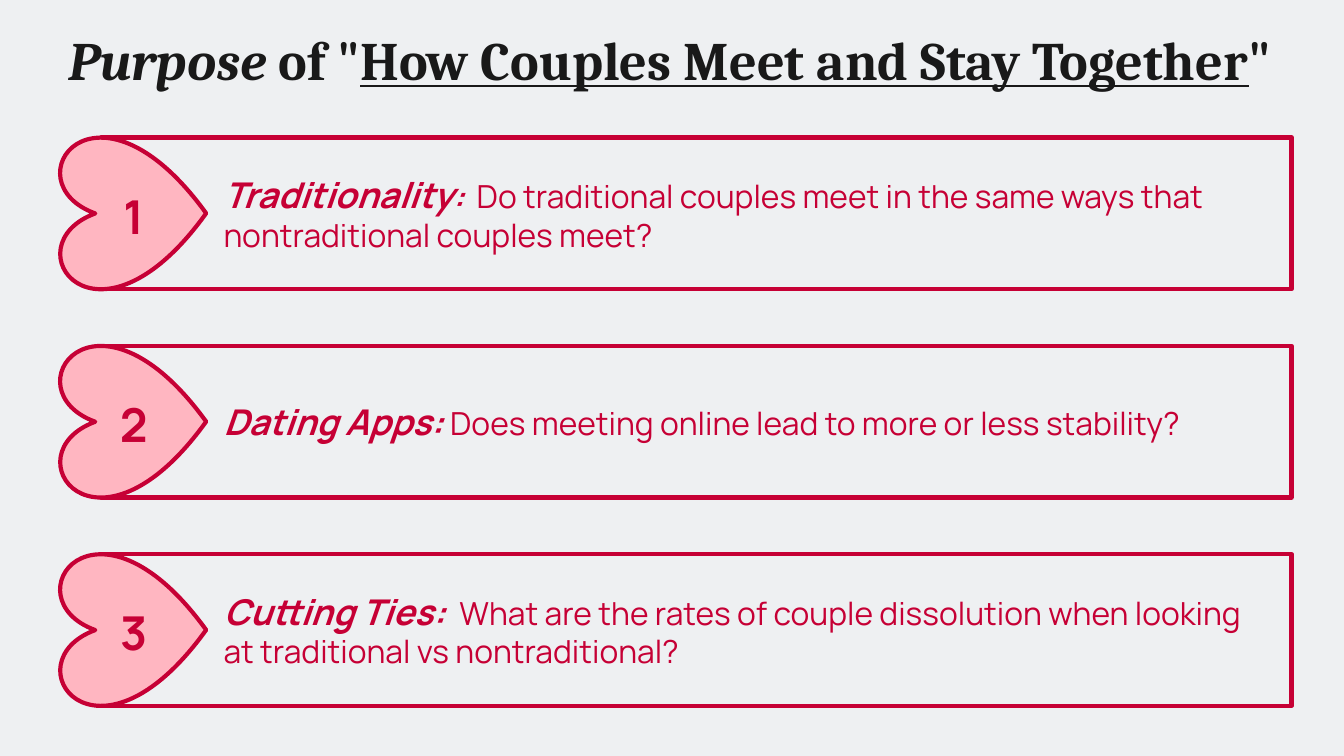
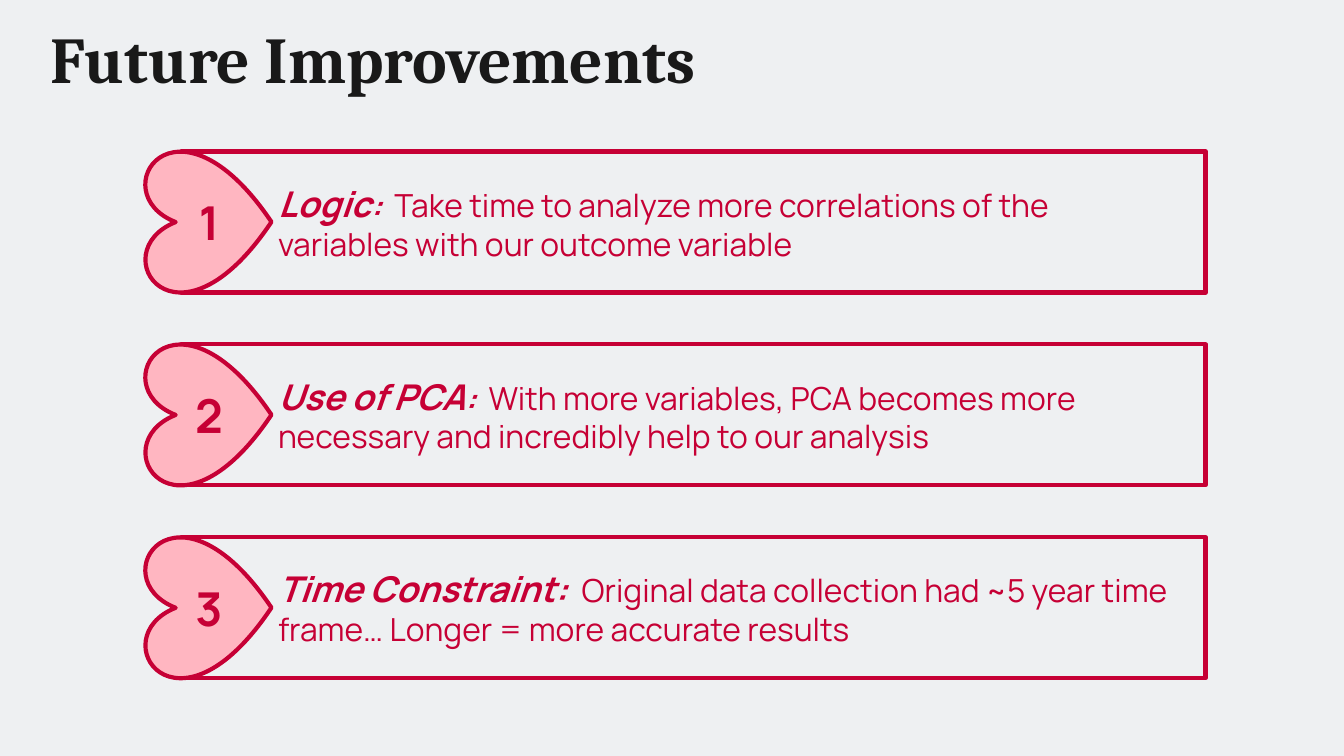
from dataclasses import dataclass
from typing import NamedTuple

from pptx import Presentation
from pptx.dml.color import RGBColor
from pptx.enum.shapes import MSO_SHAPE
from pptx.enum.text import MSO_ANCHOR, PP_ALIGN
from pptx.util import Emu, Inches, Pt

# Widescreen slide on a grid of square cells, 100 columns across
SLIDE_WIDTH = Inches(10)
SLIDE_HEIGHT = Emu(SLIDE_WIDTH * 9 // 16)
COLUMNS = 100
CELL = SLIDE_WIDTH / COLUMNS

# Shared look
PAPER, INK, CRIMSON, PINK = "EEF0F2", "191919", "C60035", "FFB6C1"
TITLE_FONT, BODY_FONT = "Cambria", "Manrope"
LABEL_SIZE, BODY_SIZE, NUMBER_SIZE = 19, 17, 25
OUTLINE = 2.25


class Area(NamedTuple):
    left: float
    top: float
    width: float
    height: float


class Span(NamedTuple):
    text: str
    size: float
    bold: bool = False
    italic: bool = False
    underline: bool = False


Lines = list[list[Span]]


@dataclass
class Layout:
    """Sizes of the first numbered bar, and the pitch to the next."""
    bar: Area
    pitch: float
    heart_left: float
    heart_width: float
    heart_height: float
    number_left: float
    number_width: float
    number_drop: float
    indent: float


@dataclass
class Page:
    title: list[Span]
    title_area: Area
    title_align: PP_ALIGN
    title_anchor: MSO_ANCHOR
    layout: Layout
    points: list[Lines]


def cells(count: float) -> Emu:
    return Emu(round(count * CELL))


def color(value: str) -> RGBColor:
    return RGBColor.from_string(value)


def label(text: str, size: float = LABEL_SIZE) -> Span:
    return Span(text, size, bold=True, italic=True)


def body(text: str) -> Span:
    return Span(text, BODY_SIZE)


def style(font, span: Span) -> None:
    font.size = Pt(span.size)
    font.bold = span.bold
    font.italic = span.italic
    font.underline = span.underline


def write(shape, lines: Lines, font: str, ink: str, align=PP_ALIGN.LEFT,
          anchor=MSO_ANCHOR.MIDDLE, indent: float = 0) -> None:
    frame = shape.text_frame
    frame.word_wrap = True
    frame.vertical_anchor = anchor
    frame.margin_left = frame.margin_right = cells(1)
    frame.margin_top = frame.margin_bottom = cells(1)
    for index, spans in enumerate(lines):
        paragraph = frame.paragraphs[0] if index == 0 else frame.add_paragraph()
        paragraph.alignment = align
        if indent:
            properties = paragraph._p.get_or_add_pPr()
            properties.set("marL", str(cells(indent)))
            properties.set("indent", "0")
        paragraph.font.name = font
        paragraph.font.color.rgb = color(ink)
        alike = len({span[1:] for span in spans}) == 1
        if alike:
            style(paragraph.font, spans[0])
        for span in spans:
            run = paragraph.add_run()
            run.text = span.text
            if not alike:
                style(run.font, span)


def add_text(slide, area: Area, lines: Lines, font: str, ink: str,
             align=PP_ALIGN.CENTER, anchor=MSO_ANCHOR.MIDDLE) -> None:
    write(slide.shapes.add_textbox(*map(cells, area)), lines, font, ink, align, anchor)


def add_outlined(slide, kind: MSO_SHAPE, area: Area, fill: str | None = None):
    shape = slide.shapes.add_shape(kind, *map(cells, area))
    shape.shadow.inherit = False
    if fill:
        shape.fill.solid()
        shape.fill.fore_color.rgb = color(fill)
    else:
        shape.fill.background()
    shape.line.color.rgb = color(CRIMSON)
    shape.line.width = Pt(OUTLINE)
    return shape


def add_point(slide, layout: Layout, index: int, lines: Lines) -> None:
    # Bar with its statement
    area = layout.bar._replace(top=layout.bar.top + index * layout.pitch)
    bar = add_outlined(slide, MSO_SHAPE.RECTANGLE, area)
    write(bar, lines, BODY_FONT, CRIMSON, indent=layout.indent)
    # Heart on its side, centred on the bar
    middle = area.top + area.height / 2
    heart = add_outlined(slide, MSO_SHAPE.HEART, Area(
        layout.heart_left, middle - layout.heart_height / 2,
        layout.heart_width, layout.heart_height), PINK)
    heart.rotation = 269.9
    # Number over the heart
    number_area = Area(layout.number_left, area.top + layout.number_drop,
                       layout.number_width, area.height)
    add_text(slide, number_area, [[Span(str(index + 1), NUMBER_SIZE, bold=True)]],
             BODY_FONT, CRIMSON)


def add_page(deck, page: Page) -> None:
    slide = deck.slides.add_slide(deck.slide_layouts[6])
    slide.background.fill.solid()
    slide.background.fill.fore_color.rgb = color(PAPER)
    add_text(slide, page.title_area, [page.title], TITLE_FONT, INK,
             page.title_align, page.title_anchor)
    for index, lines in enumerate(page.points):
        add_point(slide, page.layout, index, lines)


PURPOSE = Page(
    title=[
        Span("Purpose", 29, bold=True, italic=True),
        Span(' of "', 29, bold=True),
        Span("How Couples Meet and Stay Together", 29, bold=True, underline=True),
        Span('"', 29, bold=True),
    ],
    title_area=Area(0.7, 2.7, 98.3, 5.1),
    title_align=PP_ALIGN.CENTER,
    title_anchor=MSO_ANCHOR.BOTTOM,
    layout=Layout(bar=Area(7.5, 10.23, 88.6, 11.3), pitch=15.5,
                  heart_left=4.24, heart_width=11.2, heart_height=11,
                  number_left=3.8, number_width=12.3, number_drop=0.15, indent=8.15),
    points=[
        [[label("Traditionality"), label(":", BODY_SIZE),
          body("  Do traditional couples meet in the same ways that "
               "nontraditional couples meet?")]],
        [[label("Dating Apps: "),
          body("Does meeting online lead to more or less stability?")]],
        [[label("Cutting Ties:  "),
          body("What are the rates of couple dissolution when looking "
               "at traditional vs nontraditional?")]],
    ],
)

IMPROVEMENTS = Page(
    title=[Span("Future Improvements", 35, bold=True)],
    title_area=Area(2.8, 1.1, 91.1, 6.3),
    title_align=PP_ALIGN.LEFT,
    title_anchor=MSO_ANCHOR.MIDDLE,
    layout=Layout(bar=Area(13.5, 11.27, 76.2, 10.5), pitch=14.35,
                  heart_left=10.25, heart_width=10.4, heart_height=9.5,
                  number_left=10.3, number_width=10.5, number_drop=0, indent=6.2),
    points=[
        [[label("Logic"), label(":", BODY_SIZE),
          body("  Take time to analyze more correlations of the")],
         [body("variables with our outcome variable")]],
        [[label("Use of PCA"), label(":  ", BODY_SIZE),
          body("With more variables, PCA becomes more necessary "
               "and incredibly help to our analysis")]],
        [[label("Time Constraint:  "),
          body("Original data collection had ~5 year time frame… "
               "Longer = more accurate results")]],
    ],
)


def main() -> None:
    deck = Presentation()
    deck.slide_width, deck.slide_height = SLIDE_WIDTH, SLIDE_HEIGHT
    for page in (PURPOSE, IMPROVEMENTS):
        add_page(deck, page)
    deck.save("out.pptx")


if __name__ == "__main__":
    main()
